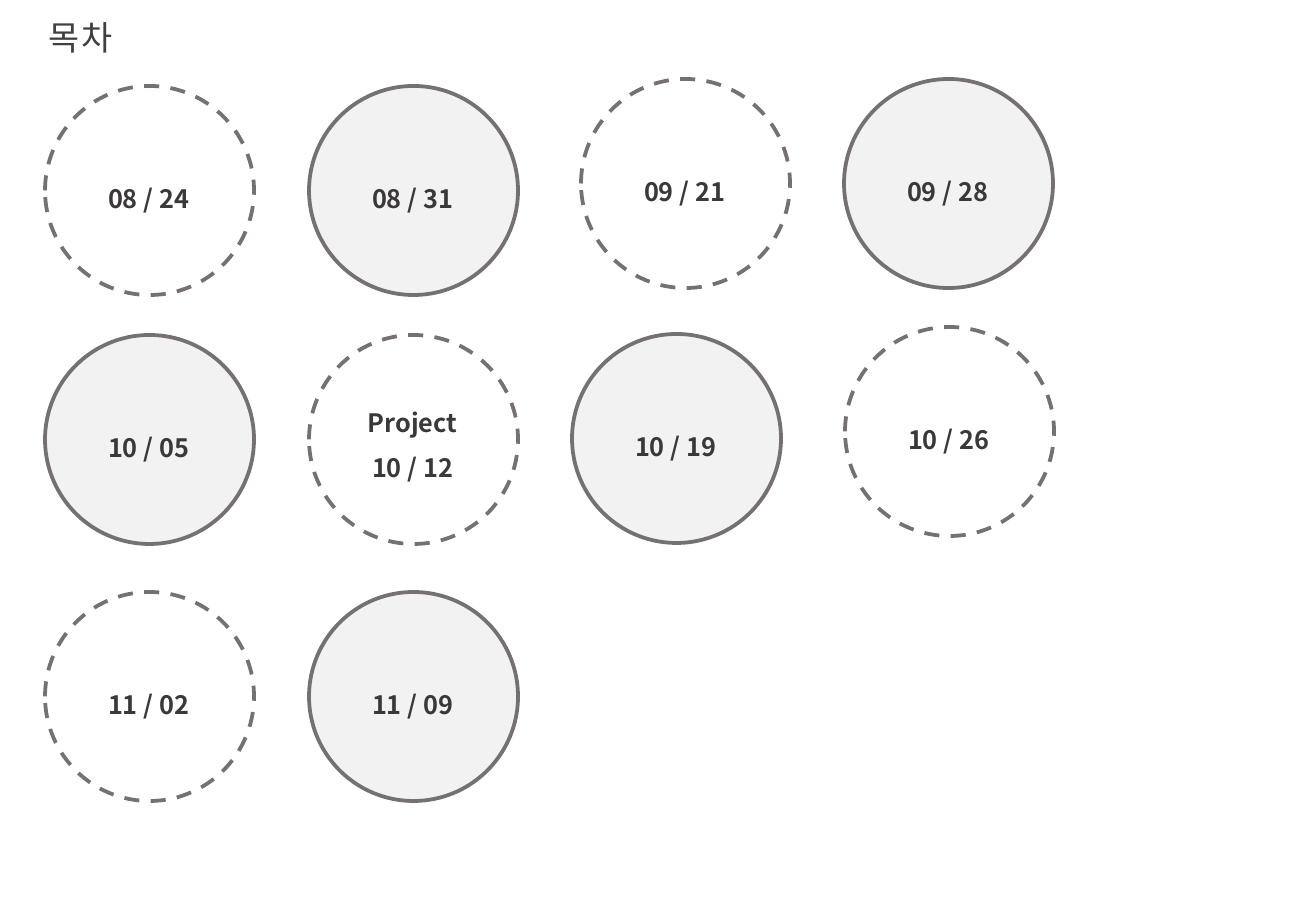
import pptx
import pptx.util
import pptx.dml.color
import pptx.enum.dml
import pptx.enum.shapes
import pptx.enum.text
import pptx.oxml
import pptx.oxml.ns

FONT = "Noto Sans CJK KR"
DIAMETER = 209
LABEL_LEFT, LABEL_WIDTH = 18, 171
LABEL_TOPS = {1: 76, 2: 51}
LABEL_HEIGHTS = {1: 55, 2: 104}

SESSIONS = [
    (45, 86, False, ["08 / 24"]),
    (309, 86, True, ["08 / 31"]),
    (581, 79, False, ["09 / 21"]),
    (844, 79, True, ["09 / 28"]),
    (45, 335, True, ["10 / 05"]),
    (309, 335, False, ["Project", "10 / 12"]),
    (572, 334, True, ["10 / 19"]),
    (845, 327, False, ["10 / 26"]),
    (45, 592, False, ["11 / 02"]),
    (309, 592, True, ["11 / 09"]),
]


def px(pixels):
    """Turn pixels into EMU."""
    return pptx.util.Emu(round(pixels * 914400 / 121.5))


def color(value):
    """Turn a hex string into a colour."""
    return pptx.dml.color.RGBColor.from_string(value)


def add_span(para, text, size, fill, bold=False):
    """Add one formatted run, with the font set for Latin and Korean."""
    span = para.add_run()
    span.text = text
    span.font.name = FONT
    span.font.size = pptx.util.Pt(size)
    span.font.bold = bold
    span.font.color.rgb = color(fill)
    east_asian = pptx.oxml.parse_xml(
        f'<a:ea {pptx.oxml.ns.nsdecls("a")} typeface="{FONT}"/>')
    span.font._element.find(pptx.oxml.ns.qn("a:latin")).addnext(east_asian)
    return span


def add_title(page, left, top, width, height):
    """Place and format the slide title."""
    title = page.shapes.title
    title.left, title.top = px(left), px(top)
    title.width, title.height = px(width), px(height)
    frame = title.text_frame
    frame.word_wrap = True
    frame.auto_size = pptx.enum.text.MSO_AUTO_SIZE.NONE
    frame.vertical_anchor = pptx.enum.text.MSO_ANCHOR.TOP
    para = frame.paragraphs[0]
    para.alignment = pptx.enum.text.PP_ALIGN.LEFT
    span = add_span(para, "목 차", 20, "404040")
    span.font._element.set("spc", "-150")


def add_session(page, left, top, filled, lines):
    """Draw one session circle with its centred label."""
    circle = page.shapes.add_shape(
        pptx.enum.shapes.MSO_SHAPE.OVAL,
        px(left), px(top), px(DIAMETER), px(DIAMETER))
    circle.shadow.inherit = False
    circle.line.color.rgb = color("767171")
    circle.line.width = pptx.util.Pt(2.25)
    if filled:
        circle.fill.solid()
        circle.fill.fore_color.rgb = color("F2F2F2")
    else:
        circle.fill.background()
        circle.line.dash_style = pptx.enum.dml.MSO_LINE.DASH

    label = page.shapes.add_textbox(
        px(left + LABEL_LEFT), px(top + LABEL_TOPS[len(lines)]),
        px(LABEL_WIDTH), px(LABEL_HEIGHTS[len(lines)]))
    frame = label.text_frame
    frame.word_wrap = True
    frame.auto_size = pptx.enum.text.MSO_AUTO_SIZE.SHAPE_TO_FIT_TEXT
    for index, line in enumerate(lines):
        para = frame.add_paragraph() if index else frame.paragraphs[0]
        para.alignment = pptx.enum.text.PP_ALIGN.CENTER
        para.line_spacing = 1.5
        add_span(para, line, 15, "3B3838", bold=True)


def main():
    """Build the schedule slide and save it."""
    deck = pptx.Presentation()
    deck.slide_width, deck.slide_height = px(1316), px(911)
    page = deck.slides.add_slide(deck.slide_layouts.get_by_name("Title Only"))
    add_title(page, 36, 11, 129, 53)
    for session in SESSIONS:
        add_session(page, *session)
    deck.save("out.pptx")


main()
